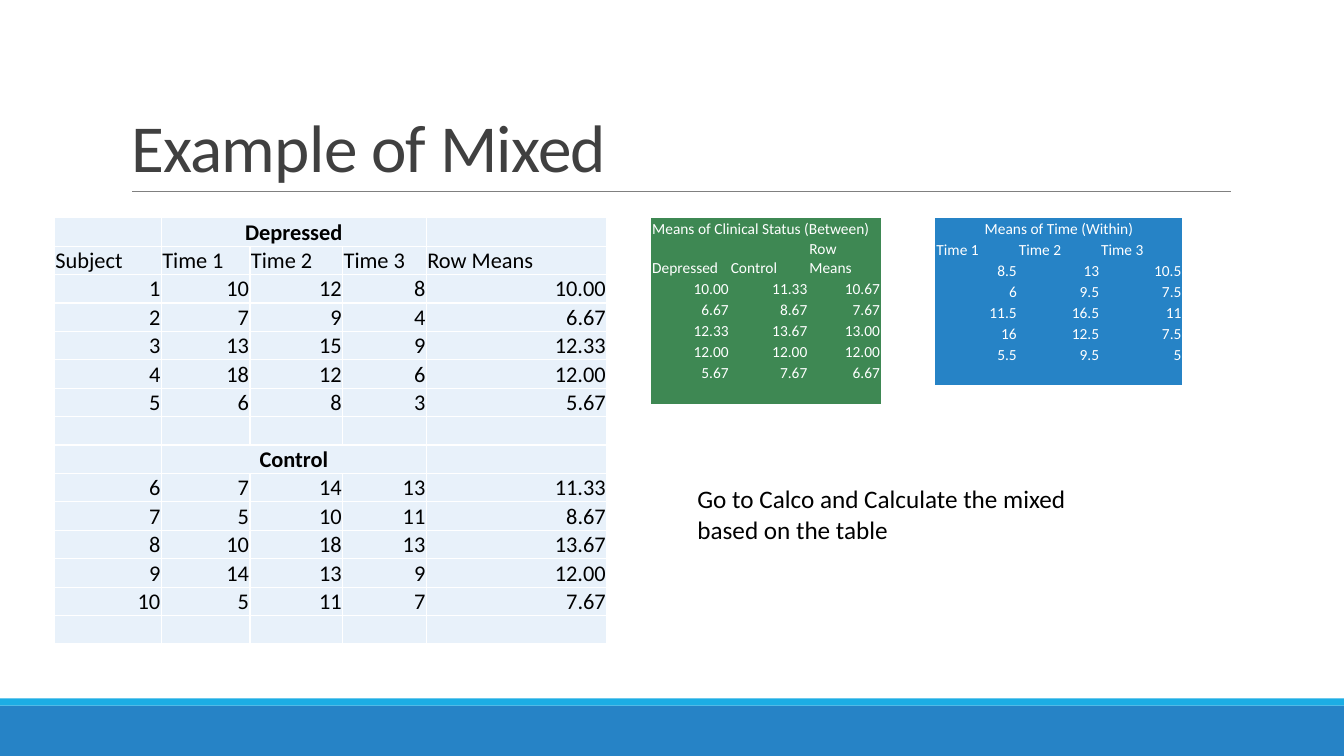
from dataclasses import dataclass

from lxml import etree
from pptx import Presentation
from pptx.dml.color import RGBColor
from pptx.enum.shapes import MSO_CONNECTOR, MSO_SHAPE
from pptx.enum.text import MSO_ANCHOR, MSO_AUTO_SIZE, PP_ALIGN
from pptx.oxml.ns import qn
from pptx.util import Inches, Pt

LEFT, CENTER, RIGHT = PP_ALIGN.LEFT, PP_ALIGN.CENTER, PP_ALIGN.RIGHT
MIDDLE, BOTTOM = MSO_ANCHOR.MIDDLE, MSO_ANCHOR.BOTTOM
RECTANGLE, STRAIGHT = MSO_SHAPE.RECTANGLE, MSO_CONNECTOR.STRAIGHT
NO_AUTOFIT = MSO_AUTO_SIZE.NONE
TITLE_ONLY = 5

# The page is a grid of square units, ten to the inch.
COLUMNS, ROWS = 133.33, 75
TABLE_TOP = 21.6
SPAN = None  # cell joined to the one on its left


@dataclass(frozen=True)
class Theme:
    """Colours, font and type sizes of the deck."""
    font: str = "Calibri"
    blue: str = "2683C6"
    cyan: str = "1CADE4"
    green: str = "3E8853"
    pale: str = "E8F1FA"
    rule: str = "808080"
    heading: str = "404040"
    ink: str = "000000"
    white: str = "FFFFFF"
    title_size: int = 48
    note_size: int = 18
    data_size: int = 16
    small_size: int = 11


def units(count):
    """Turn grid units into a length."""
    return Inches(count / 10)


def colour(code):
    """Turn a hex code into a colour."""
    return RGBColor.from_string(code)


def write(para, text, *, font, size, ink, bold=False, align=LEFT, tracking=0):
    """Put formatted text in a paragraph; an empty one keeps the size."""
    para.alignment = align
    if not text:
        end = etree.SubElement(para._p, qn("a:endParaRPr"))
        end.set("sz", str(size * 100))
        return
    span = para.add_run()
    span.text = text
    span.font.name, span.font.size, span.font.bold = font, Pt(size), bold
    span.font.color.rgb = colour(ink)
    if tracking:
        span.font._element.set("spc", str(round(tracking * 100)))


def set_borders(cell, border):
    """Draw all four cell borders in a colour, or clear them."""
    properties = cell._tc.get_or_add_tcPr()
    for side in ("a:lnL", "a:lnR", "a:lnT", "a:lnB"):
        line = etree.SubElement(properties, qn(side), w=str(Pt(1)))
        if border:
            fill = etree.SubElement(line, qn("a:solidFill"))
            etree.SubElement(fill, qn("a:srgbClr"), val=border)
        else:
            etree.SubElement(line, qn("a:noFill"))


class Page:
    """A slide together with the theme that styles it."""

    def __init__(self, deck, theme):
        """Add a title-only slide to the deck."""
        self.theme = theme
        self.slide = deck.slides.add_slide(deck.slide_layouts[TITLE_ONLY])
        self.shapes = self.slide.shapes

    def title(self, text, left, top, width, height):
        """Fill and place the title placeholder."""
        box = self.shapes.title
        box.left, box.top = units(left), units(top)
        box.width, box.height = units(width), units(height)
        frame = box.text_frame
        frame.auto_size, frame.vertical_anchor = NO_AUTOFIT, BOTTOM
        para = frame.paragraphs[0]
        para.line_spacing = 0.85
        write(para, text, font=self.theme.font, size=self.theme.title_size,
              ink=self.theme.heading, tracking=-0.5)

    def band(self, top, height, fill):
        """Draw a plain band across the whole page."""
        box = self.shapes.add_shape(RECTANGLE, 0, units(top),
                                    units(COLUMNS), units(height))
        box.shadow.inherit = False
        box.fill.solid()
        box.fill.fore_color.rgb = colour(fill)
        box.line.fill.background()

    def rule(self, left, right, top):
        """Draw a thin horizontal line."""
        line = self.shapes.add_connector(STRAIGHT, units(left), units(top),
                                         units(right), units(top))
        line.line.color.rgb = colour(self.theme.rule)
        line.line.width = Pt(0.5)
        etree.SubElement(line._element.spPr, qn("a:effectLst"))

    def note(self, text, left, top, width, height):
        """Add a wrapped text box."""
        box = self.shapes.add_textbox(units(left), units(top),
                                      units(width), units(height))
        box.text_frame.word_wrap = True
        write(box.text_frame.paragraphs[0], text, font=self.theme.font,
              size=self.theme.note_size, ink=self.theme.ink)

    def table(self, records, left, widths, heights, *, fill, size, ink,
              border=None, head_align=CENTER, head_bold=False):
        """Add a table; joined cells are heads and numbers align right."""
        frame = self.shapes.add_table(
            len(records), len(widths), units(left), units(TABLE_TOP),
            units(sum(widths)), units(sum(heights)))
        table = frame.table
        table.first_row = table.horz_banding = False
        for column, width in zip(table.columns, widths):
            column.width = units(width)
        for row, height, record in zip(table.rows, heights, records):
            row.height = units(height)
            cells = list(row.cells)
            for cell, text in zip(cells, record):
                set_borders(cell, border)
                cell.fill.solid()
                cell.fill.fore_color.rgb = colour(fill)
                cell.margin_left = cell.margin_right = units(0.1)
                cell.margin_top, cell.margin_bottom = units(0.1), 0
                cell.vertical_anchor = BOTTOM
                align = RIGHT if text and text[0].isdigit() else LEFT
                is_head = SPAN in record and bool(text)
                if is_head:
                    align = head_align
                    if head_bold:
                        cell.vertical_anchor = MIDDLE
                write(cell.text_frame.paragraphs[0], text, font=self.theme.font,
                      size=size, ink=ink, align=align,
                      bold=is_head and head_bold)
            if SPAN in record:
                first = record.index(SPAN) - 1
                cells[first].merge(cells[first + record.count(SPAN)])


def mean(values):
    """Return the arithmetic mean."""
    return sum(values) / len(values)


def group_records(scores, first_subject):
    """List subject number, scores and row mean for one group."""
    return [[str(subject), *map(str, row), f"{mean(row):.2f}"]
            for subject, row in enumerate(scores, first_subject)]


depressed = [(10, 12, 8), (7, 9, 4), (13, 15, 9), (18, 12, 6), (6, 8, 3)]
control = [(7, 14, 13), (5, 10, 11), (10, 18, 13), (14, 13, 9), (5, 11, 7)]
times = ["Time 1", "Time 2", "Time 3"]

subjects = [["", "Depressed", SPAN, SPAN, ""], ["Subject", *times, "Row Means"],
            *group_records(depressed, 1), [""] * 5,
            ["", "Control", SPAN, SPAN, ""],
            *group_records(control, 6), [""] * 5]

between = [["Means of Clinical Status (Between)", SPAN, SPAN],
           ["Depressed", "Control", "Row Means"]]
within = [["Means of Time (Within)", SPAN, SPAN], times]
for pair in zip(depressed, control):
    group_means = [mean(row) for row in pair]
    between.append([f"{value:.2f}" for value in (*group_means, mean(group_means))])
    within.append([f"{mean(scores):g}" for scores in zip(*pair)])
for summary in (between, within):
    summary.append([""] * 3)

theme = Theme()
deck = Presentation()
deck.slide_width, deck.slide_height = units(COLUMNS), units(ROWS)
page = Page(deck, theme)
page.band(70, 5, theme.blue)
page.band(69.3, 0.7, theme.cyan)
page.rule(13.1, 122.1, 19)
page.title("Example of Mixed", 12, 3.1, 110, 15.9)
page.table(subjects, 5.4, [10.6, 8.8, 9.2, 8.3, 17.9], [2.82] * len(subjects),
           fill=theme.pale, size=theme.data_size, ink=theme.ink,
           border=theme.white, head_bold=True)
small = {"size": theme.small_size, "ink": theme.white}
page.table(between, 64.6, [7.8, 7.8, 7.2], [2.08, 3.9] + [2.08] * 6,
           fill=theme.green, head_align=LEFT, **small)
page.table(within, 92.8, [8.17] * 3, [2.08] * len(within),
           fill=theme.blue, **small)
page.note("Go to Calco and Calculate the mixed based on the table",
          68.2, 47.5, 44.7, 7.1)
deck.save("out.pptx")
